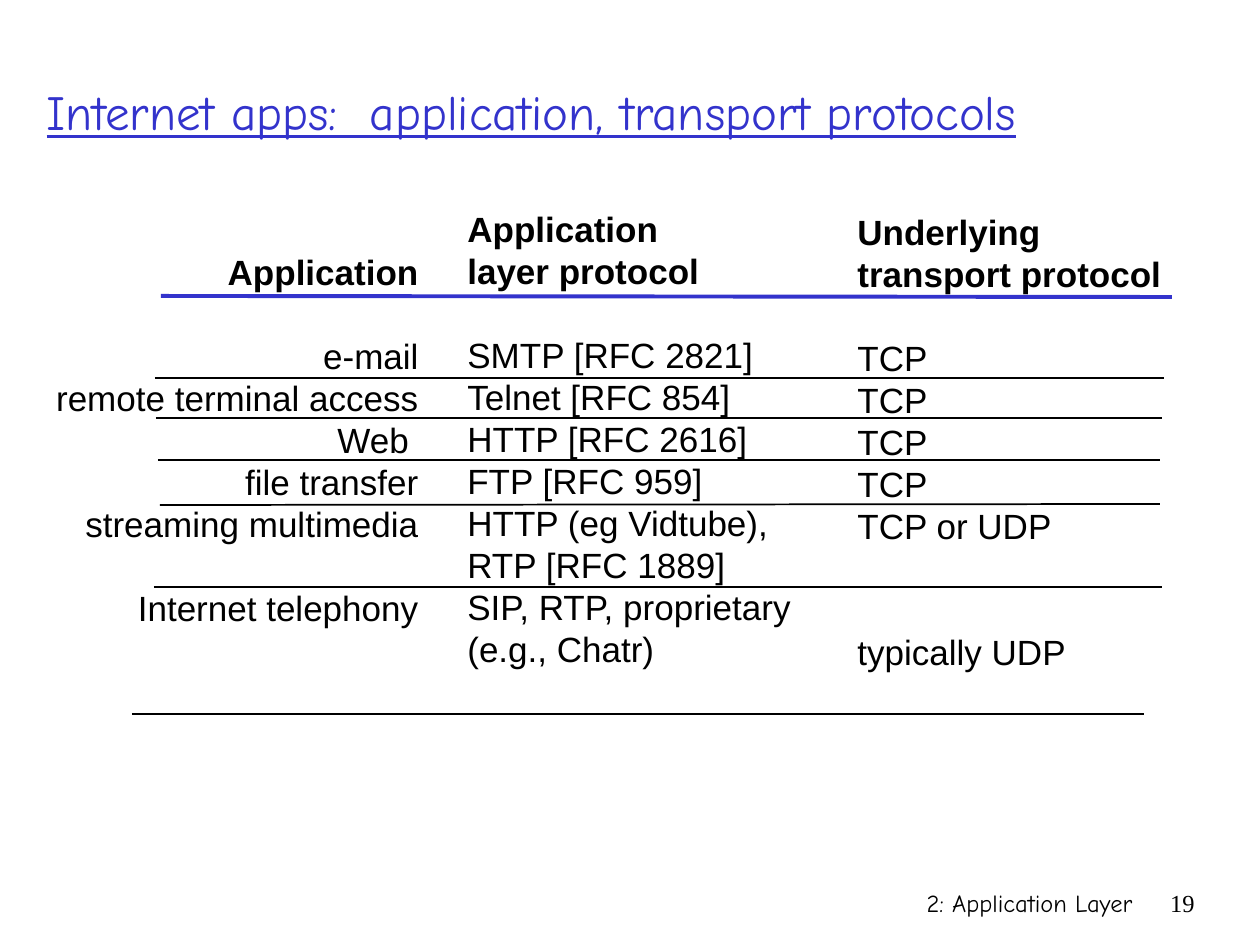
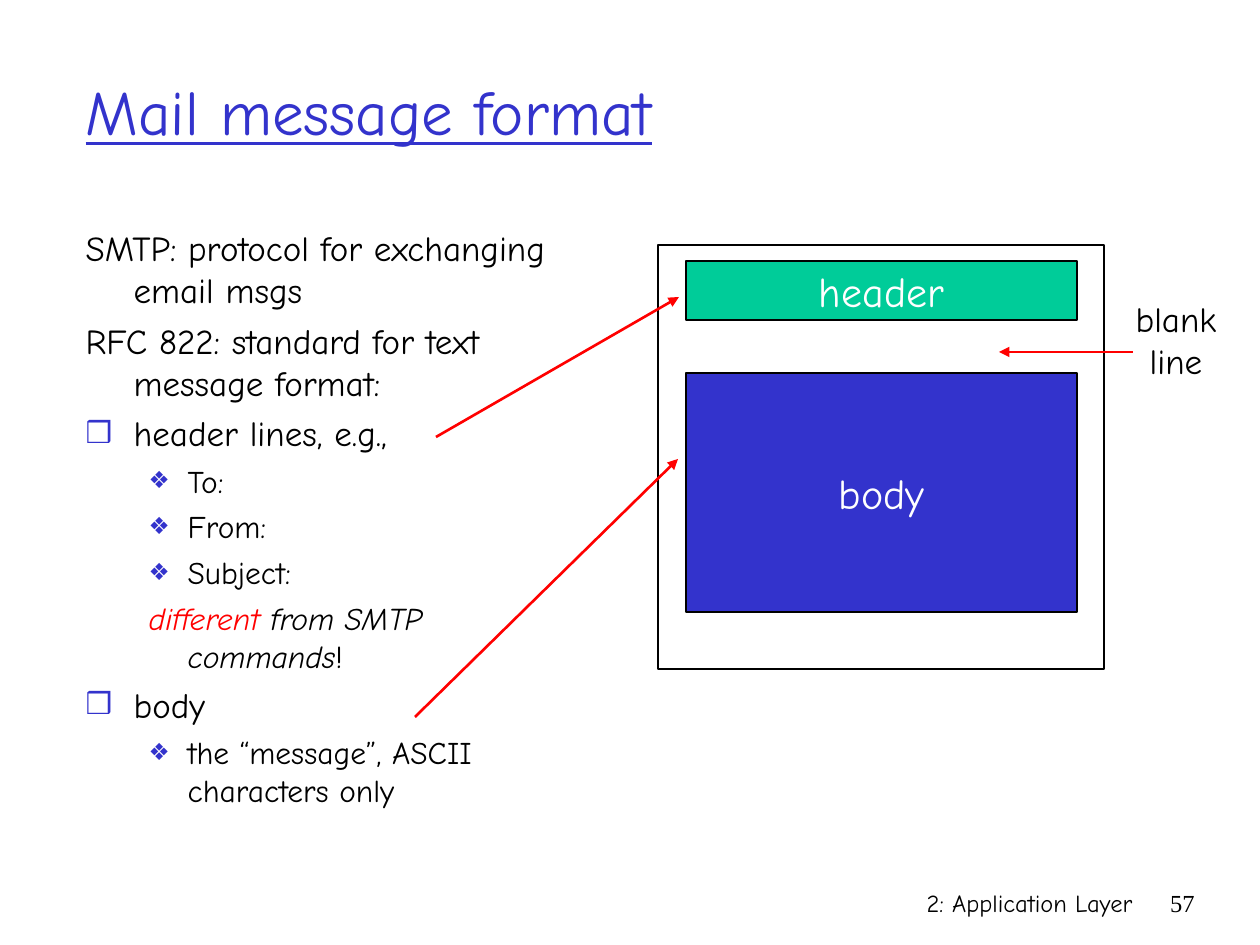
import pptx
import pptx.dml.color
import pptx.enum.shapes
import pptx.enum.text
import pptx.oxml.ns
import pptx.util
from lxml import etree

ALIGN = pptx.enum.text.PP_ALIGN
ANCHOR = pptx.enum.text.MSO_ANCHOR
EMU_PER_PX = 914400 / 126
LEADING = 1.2
TITLE_ONLY, TITLE_AND_BODY = 5, 1
BODY_LEVELS = [
    dict(size=20, before=5, left=48, hang=48, mark="❒", percent=85),
    dict(size=18, before=4.5, left=102, hang=39, mark="❖", percent=75),
]


def px(n):
    return round(n * EMU_PER_PX)


def rgb(color):
    return pptx.dml.color.RGBColor.from_string(color)


def add_xml(parent, tag, **attrs):
    return etree.SubElement(parent, pptx.oxml.ns.qn(tag), attrs)


class Deck:
    FONT, TABLE_FONT, NUMBER_FONT = "Comic Neue", "Arial", "Times New Roman"
    BLACK, WHITE, BLUE, GREEN, RED = "000000", "FFFFFF", "3333CC", "00CC99", "FF0000"

    def __init__(self):
        self.prs = pptx.Presentation()
        self.prs.slide_width, self.prs.slide_height = px(1260), px(945)
        self.s = None

    def slide(self, layout, title, number, x, w, size):
        self.s = self.prs.slides.add_slide(self.prs.slide_layouts[layout])
        self.title(title, x, w, size)
        self.text("2: Application Layer", 746, 882, 399, 63, 14, align=ALIGN.RIGHT, wrap=True)
        self.text(str(number), 1144, 882, 63, 63, 14, font=self.NUMBER_FONT,
                  align=ALIGN.RIGHT, wrap=True)

    def place(self, sp, x, y, w, h):
        sp.left, sp.top, sp.width, sp.height = px(x), px(y), px(w), px(h)

    def style(self, p, size, color=BLACK, font=FONT, align=ALIGN.LEFT, bold=False):
        p.alignment = align
        p.line_spacing = pptx.util.Pt(size * LEADING)
        for r in p.runs:
            r.font.size = pptx.util.Pt(size)
            r.font.name = font
            r.font.bold = bold
            r.font.color.rgb = rgb(color)

    def title(self, text, x, w, size):
        sp = self.s.shapes.title
        self.place(sp, x, 32, w, 157)
        tf = sp.text_frame
        tf.text = text
        tf.auto_size = pptx.enum.text.MSO_AUTO_SIZE.NONE
        tf.vertical_anchor = ANCHOR.MIDDLE
        p = tf.paragraphs[0]
        self.style(p, size, self.BLUE)
        p.runs[0].font.underline = True

    def text(self, text, x, y, w, h, size, wrap=False, **style):
        sp = self.s.shapes.add_textbox(px(x), px(y), px(w), px(h))
        tf = sp.text_frame
        tf.word_wrap = wrap
        tf.text = text
        for p in tf.paragraphs:
            self.style(p, size, **style)
        return tf

    def column(self, rows, heads, gaps, x, y, w, h, align=ALIGN.LEFT):
        tf = self.text("\n".join(rows), x, y, w, h, 20, wrap=True,
                       font=self.TABLE_FONT, align=align)
        for i, p in enumerate(tf.paragraphs):
            p.space_before = pptx.util.Pt(gaps.get(i, 0) * 20 * LEADING)
            for r in p.runs:
                r.font.bold = i < heads

    def body(self, items, x, y, w, h):
        sp = self.s.placeholders[1]
        self.place(sp, x, y, w, h)
        tf = sp.text_frame
        tf.auto_size = pptx.enum.text.MSO_AUTO_SIZE.NONE
        tf.vertical_anchor = ANCHOR.TOP
        tf.text = "\n".join(text for level, marked, text in items)
        for p, (level, marked, text) in zip(tf.paragraphs, items):
            look = BODY_LEVELS[level]
            p.level = level
            self.style(p, look["size"])
            p.space_before = pptx.util.Pt(look["before"])
            self.bullet(p, look, marked)
        return tf

    def bullet(self, p, look, marked):
        pPr = p._p.get_or_add_pPr()
        pPr.set("marL", str(px(look["left"])))
        pPr.set("indent", str(-px(look["hang"])))
        if not marked:
            add_xml(pPr, "a:buNone")
            return
        add_xml(add_xml(pPr, "a:buClr"), "a:srgbClr", val=self.BLUE)
        add_xml(pPr, "a:buSzPct", val=str(look["percent"] * 1000))
        add_xml(pPr, "a:buChar", char=look["mark"])

    def box(self, x, y, w, h, text="", fill=None, line_width=0.75):
        sp = self.s.shapes.add_shape(pptx.enum.shapes.MSO_SHAPE.RECTANGLE,
                                     px(x), px(y), px(w), px(h))
        sp.shadow.inherit = False
        sp.line.color.rgb = rgb(self.BLACK)
        sp.line.width = pptx.util.Pt(line_width)
        if fill:
            sp.fill.solid()
            sp.fill.fore_color.rgb = rgb(fill)
        else:
            sp.fill.background()
        if text:
            tf = sp.text_frame
            tf.word_wrap = False
            tf.vertical_anchor = ANCHOR.MIDDLE
            tf.text = text
            self.style(tf.paragraphs[0], 24, self.WHITE, align=ALIGN.CENTER)

    def line(self, x1, y1, x2, y2, color=BLACK, width=1.0, arrow=False):
        c = self.s.shapes.add_connector(pptx.enum.shapes.MSO_CONNECTOR.STRAIGHT,
                                        px(x1), px(y1), px(x2), px(y2))
        c.line.color.rgb = rgb(color)
        c.line.width = pptx.util.Pt(width)
        if arrow:
            add_xml(c.line._get_or_add_ln(), "a:tailEnd", type="triangle")
        add_xml(c._element.spPr, "a:effectLst")

    def arrow(self, x1, y1, x2, y2):
        self.line(x1, y1, x2, y2, self.RED, 1.5, arrow=True)


def protocols_slide(deck):
    deck.slide(TITLE_ONLY, "Internet apps:  application, transport protocols", 19, 34, 1206, 28)
    deck.column(["Application", "e-mail", "remote terminal access", "Web ", "file transfer",
                 "streaming multimedia", "Internet telephony"],
                1, {1: 1, 6: 1}, 21, 244, 410, 433, ALIGN.RIGHT)
    deck.column(["Application", "layer protocol", "SMTP [RFC 2821]", "Telnet [RFC 854]",
                 "HTTP [RFC 2616]", "FTP [RFC 959]", "HTTP (eg Vidtube),\vRTP [RFC 1889]",
                 "SIP, RTP, proprietary", "(e.g., Chatr)"],
                2, {2: 1}, 455, 201, 380, 475)
    deck.column(["Underlying", "transport protocol", "TCP", "TCP", "TCP", "TCP",
                 "TCP or UDP", "typically UDP"],
                2, {2: 1, 7: 2}, 845, 204, 362, 475)
    deck.line(161, 296, 1172, 297, deck.BLUE, 2.25)
    for x1, y1, x2, y2 in [(155, 378, 1164, 378), (156, 418, 1162, 418),
                           (158, 460, 1160, 460), (160, 505, 1160, 504),
                           (154, 587, 1162, 587), (132, 714, 1144, 714)]:
        deck.line(x1, y1, x2, y2)


def mail_slide(deck):
    deck.slide(TITLE_AND_BODY, "Mail message format", 57, 73, 1071, 36)
    tf = deck.body([
        (0, False, "SMTP: protocol for exchanging email msgs"),
        (0, False, "RFC 822: standard for text message format:"),
        (0, True, "header lines, e.g.,"),
        (1, True, "To:"),
        (1, True, "From:"),
        (1, True, "Subject:"),
        (1, False, "different "),
        (0, True, "body"),
        (1, True, "the “message”, ASCII characters only"),
    ], 73, 220, 525, 640)
    p = tf.paragraphs[6]
    for text in ("from SMTP commands", "!"):
        p.add_run().text = text
    deck.style(p, 18)
    different, commands, _ = p.runs
    different.font.italic = commands.font.italic = True
    different.font.color.rgb = rgb(deck.RED)

    deck.box(686, 261, 391, 59, "header", deck.GREEN)
    deck.box(686, 373, 391, 239, "body", deck.BLUE)
    deck.box(658, 245, 446, 424, line_width=1)
    deck.arrow(436, 437, 679, 297)
    deck.arrow(415, 717, 678, 459)
    deck.text("blank\nline", 1123, 291, 106, 97, 20, align=ALIGN.CENTER)
    deck.arrow(1133, 352, 999, 352)


def main():
    deck = Deck()
    protocols_slide(deck)
    mail_slide(deck)
    deck.prs.save("out.pptx")


if __name__ == "__main__":
    main()
